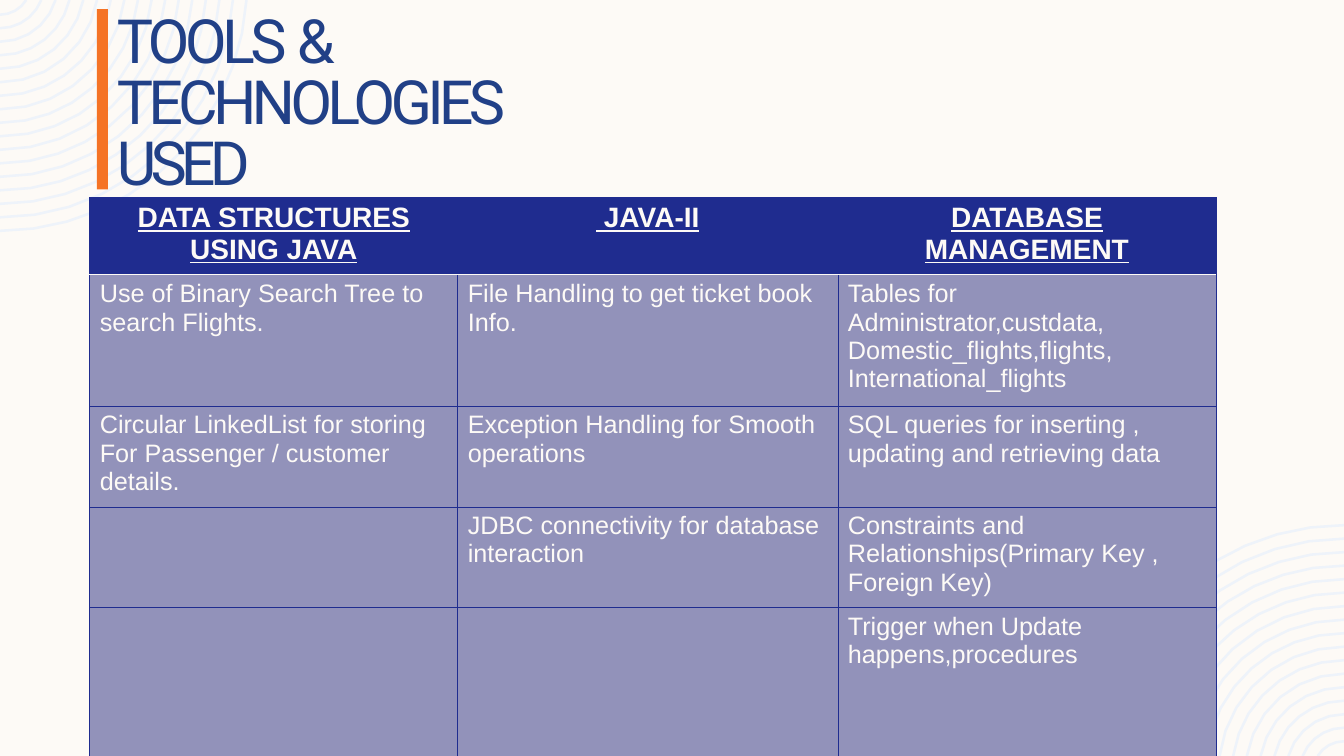
import math

from lxml import etree
from pptx import Presentation
from pptx import util as u
from pptx.dml.color import RGBColor
from pptx.enum import shapes, text
from pptx.oxml import ns
from pptx.util import Inches

COLORS = {
    "cream": "FDFAF6",
    "ring": "EEF3FA",
    "title": "214087",
    "bar": "F57325",
    "navy": "1F2C8F",
    "body": "9292BA",
}
SLIDE_W, SLIDE_H = 13.33, 7.5
HEADERS = ["DATA STRUCTURES USING JAVA", " JAVA-II", "DATABASE MANAGEMENT"]
ROWS = [
    [
        ["Use of Binary Search Tree to search Flights."],
        ["File Handling to get ticket book Info."],
        ["Tables for Administrator,custdata,", "Domestic_flights,flights,", "International_flights"],
    ],
    [
        ["Circular LinkedList for storing", "For Passenger / customer details."],
        ["Exception Handling for Smooth operations"],
        ["SQL queries for inserting , updating and retrieving data"],
    ],
    [
        [],
        ["JDBC connectivity for database interaction"],
        ["Constraints and Relationships(Primary Key , Foreign Key)"],
    ],
    [[], [], ["Trigger when Update happens,procedures"]],
]


def color(name):
    return RGBColor.from_string(COLORS[name])


def arc_points(radius, rise):
    steps = 4 + int(radius * 3)
    start = math.asin(rise / radius)
    angles = [start + (math.pi / 2 - start) * i / steps for i in range(steps + 1)]
    return [(radius * math.cos(a), radius * math.sin(a) - rise) for a in angles]


def add_rings(s, mirrored):
    builder = None
    for i in range(17):
        points = arc_points(2.45 - 0.134 * i, 0.16)
        if mirrored:
            points = [(SLIDE_W - x, SLIDE_H - y) for x, y in points]
        points = [(Inches(x), Inches(y)) for x, y in points]
        if builder is None:
            builder = s.shapes.build_freeform(*points[0])
        else:
            builder.move_to(*points[0])
        builder.add_line_segments(points[1:], close=False)
    sp = builder.convert_to_shape()
    sp.shadow.inherit = False
    sp.fill.background()
    sp.line.color.rgb = color("ring")
    sp.line.width = u.Pt(1.8)


def add_bar(s):
    sp = s.shapes.add_shape(
        shapes.MSO_SHAPE.RECTANGLE, Inches(0.96), Inches(0.09), Inches(0.11), Inches(1.79)
    )
    sp.shadow.inherit = False
    sp.fill.solid()
    sp.fill.fore_color.rgb = color("bar")
    sp.line.fill.background()


def add_run(p, content, size, font, name):
    r = p.add_run()
    r.text = content
    r.font.size = u.Pt(size)
    r.font.name = font
    r.font.color.rgb = color(name)
    return r


def add_title(s):
    sp = s.shapes.add_textbox(Inches(1.16), Inches(0.01), Inches(3.81), Inches(1.95))
    tf = sp.text_frame
    tf.word_wrap = True
    tf.margin_left = tf.margin_right = tf.margin_bottom = 0
    tf.margin_top = Inches(0.14)
    p = tf.paragraphs[0]
    p.line_spacing = 0.83
    for content, spacing in [("TOOLS ", -3.4), ("& ", -0.5), ("TECHNOLOGIES ", -3.5), ("USED", -4.2)]:
        r = add_run(p, content, 43.5, "Roboto", "title")
        r._r.get_or_add_rPr().set("spc", str(round(spacing * 100)))


def add_border(cell, side, name, width):
    line = etree.SubElement(cell._tc.get_or_add_tcPr(), ns.qn(f"a:ln{side}"), w=str(u.Pt(width)))
    fill = etree.SubElement(line, ns.qn("a:solidFill"))
    etree.SubElement(fill, ns.qn("a:srgbClr"), val=COLORS[name])


def fill_cell(cell, lines, row):
    header = row == 0
    light_side = {0: "B", 1: "T"}.get(row)
    for side in "LRTB":
        if side == light_side:
            add_border(cell, side, "cream", 1)
        else:
            add_border(cell, side, "navy", 0.5)
    cell.fill.solid()
    cell.fill.fore_color.rgb = color("navy" if header else "body")
    tf = cell.text_frame
    for i, content in enumerate(lines):
        p = tf.add_paragraph() if i else tf.paragraphs[0]
        p.alignment = text.PP_ALIGN.CENTER if header else text.PP_ALIGN.LEFT
        r = add_run(p, content, 20 if header else 18, "Arial", "cream")
        r.font.bold = r.font.underline = header


def add_tools_table(s):
    rows = [[[header] for header in HEADERS]] + ROWS
    frame = s.shapes.add_table(
        len(rows), len(HEADERS), Inches(0.89), Inches(1.96), Inches(11.17), Inches(4.45)
    )
    table = frame.table
    for column, width in zip(table.columns, [3.65, 3.77, 3.75]):
        column.width = Inches(width)
    for row, height in zip(table.rows, [0.62, 0.81, 0.57, 0.81, 1.64]):
        row.height = Inches(height)
    for i, cells in enumerate(rows):
        for j, lines in enumerate(cells):
            fill_cell(table.cell(i, j), lines, i)


def main():
    prs = Presentation()
    prs.slide_width, prs.slide_height = Inches(SLIDE_W), Inches(SLIDE_H)
    s = prs.slides.add_slide(prs.slide_layouts[6])
    s.background.fill.solid()
    s.background.fill.fore_color.rgb = color("cream")
    add_rings(s, mirrored=False)
    add_rings(s, mirrored=True)
    add_title(s)
    add_bar(s)
    add_tools_table(s)
    prs.save("out.pptx")


if __name__ == "__main__":
    main()
